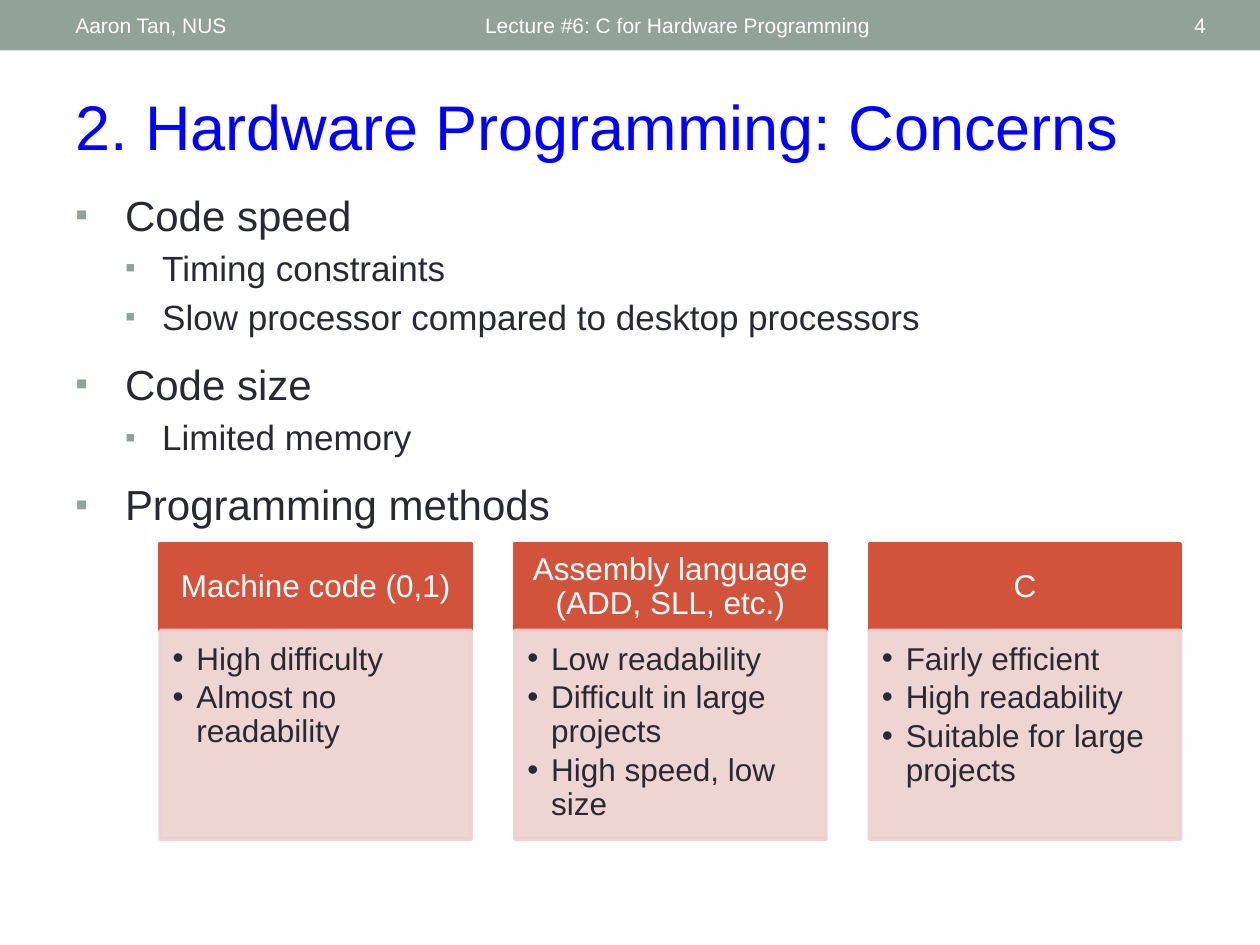
from dataclasses import dataclass

from lxml import etree
from pptx import Presentation
from pptx.dml.color import RGBColor
from pptx.enum.shapes import MSO_SHAPE
from pptx.enum.text import MSO_ANCHOR, MSO_AUTO_SIZE, PP_ALIGN
from pptx.oxml.ns import qn
from pptx.util import Cm, Pt

RECTANGLE = MSO_SHAPE.RECTANGLE
TOP, MIDDLE = MSO_ANCHOR.TOP, MSO_ANCHOR.MIDDLE
LEFT, CENTER, RIGHT = PP_ALIGN.LEFT, PP_ALIGN.CENTER, PP_ALIGN.RIGHT
NO_AUTOFIT = MSO_AUTO_SIZE.NONE
TITLE_AND_CONTENT = 1


@dataclass(frozen=True)
class Theme:
    font: str = "Arial"
    white: str = "FFFFFF"
    sage: str = "93A299"
    blue: str = "0000FF"
    ink: str = "292934"
    red: str = "D2533C"
    pink: str = "EED1CE"
    panel_opacity: int = 90
    header_size: int = 12
    title_size: int = 36
    topic_size: int = 24
    detail_size: int = 20
    card_size: int = 18


@dataclass(frozen=True)
class Box:
    left: float
    top: float
    width: float
    height: float

    def lengths(self):
        return [Cm(value) for value in (self.left, self.top, self.width, self.height)]


THEME = Theme()

HEADER_PARTS = [
    ("Aaron Tan, NUS", 1.27, 8.05, LEFT),
    ("Lecture #6: C for Hardware Programming", 9.53, 11.43, LEFT),
    ("4", 22.15, 2.41, RIGHT),
]
CONCERNS = [
    (0, "Code speed"),
    (1, "Timing constraints"),
    (1, "Slow processor compared to desktop processors"),
    (0, "Code size"),
    (1, "Limited memory"),
    (0, "Programming methods"),
]
METHODS = [
    ("Machine code (0,1)", ["High difficulty", "Almost no readability"]),
    ("Assembly language (ADD, SLL, etc.)",
     ["Low readability", "Difficult in large projects", "High speed, low size"]),
    ("C", ["Fairly efficient", "High readability", "Suitable for large projects"]),
]


def apply(target, values):
    for name, value in values.items():
        setattr(target, name, value)


def set_frame(frame, anchor, insets=(0.25, 0.13, 0.25, 0.13)):
    sides = ("margin_left", "margin_top", "margin_right", "margin_bottom")
    apply(frame, dict(zip(sides, map(Cm, insets))))
    apply(frame, {"word_wrap": True, "auto_size": NO_AUTOFIT, "vertical_anchor": anchor})


def write(paragraph, text, size, color, **values):
    apply(paragraph, values)
    run = paragraph.add_run()
    run.text = text
    apply(run.font, {"name": THEME.font, "size": Pt(size)})
    run.font.color.rgb = RGBColor.from_string(color)


def add_bullet(paragraph, character, color, percent, indent, hanging):
    properties = paragraph._p.get_or_add_pPr()
    properties.set("marL", str(Cm(indent)))
    properties.set("indent", str(-Cm(hanging)))
    bullet_color = etree.SubElement(properties, qn("a:buClr"))
    etree.SubElement(bullet_color, qn("a:srgbClr"), val=color)
    etree.SubElement(properties, qn("a:buSzPct"), val=str(percent * 1000))
    etree.SubElement(properties, qn("a:buFont"), typeface=THEME.font)
    etree.SubElement(properties, qn("a:buChar"), char=character)


def paragraphs_for(frame, items):
    for index, item in enumerate(items):
        yield index, frame.paragraphs[0] if index == 0 else frame.add_paragraph(), item


def add_rectangle(slide, box, color, line_width=None, opacity=100):
    shape = slide.shapes.add_shape(RECTANGLE, *box.lengths())
    shape.shadow.inherit = False
    fills = [shape.fill]
    if line_width is None:
        shape.line.fill.background()
    else:
        shape.line.width = Pt(line_width)
        fills.append(shape.line.fill)
    for fill in fills:
        fill.solid()
        fill.fore_color.rgb = RGBColor.from_string(color)
    if opacity < 100:
        for element in shape._element.spPr.iter(qn("a:srgbClr")):
            etree.SubElement(element, qn("a:alpha"), val=str(opacity * 1000))
    return shape


def add_header(slide, box):
    add_rectangle(slide, box, THEME.sage)
    for text, offset, width, alignment in HEADER_PARTS:
        part = Box(box.left + offset, box.top + 0.05, width, box.height - 0.1)
        frame = slide.shapes.add_textbox(*part.lengths()).text_frame
        set_frame(frame, MIDDLE)
        write(frame.paragraphs[0], text, THEME.header_size, THEME.white, alignment=alignment)


def place(placeholder, box):
    apply(placeholder, dict(zip(("left", "top", "width", "height"), box.lengths())))
    set_frame(placeholder.text_frame, TOP)
    return placeholder.text_frame


def fill_title(slide, box):
    frame = place(slide.shapes.title, box)
    write(frame.paragraphs[0], "2. Hardware Programming: Concerns",
          THEME.title_size, THEME.blue, alignment=LEFT)


def fill_concerns(slide, box):
    frame = place(slide.placeholders[1], box)
    sizes = (THEME.topic_size, THEME.detail_size)
    spaces = (12, 4)
    indents = ((1.0, 1.0), (1.75, 0.75))
    for index, paragraph, (level, text) in paragraphs_for(frame, CONCERNS):
        apply(paragraph, {"level": level, "space_before": Pt(spaces[level] if index else 0)})
        add_bullet(paragraph, "▪", THEME.sage, 85, *indents[level])
        write(paragraph, text, sizes[level], THEME.ink)


def add_method(slide, box, name, remarks):
    head_height = 1.75
    head = Box(box.left, box.top, box.width, head_height)
    panel = Box(box.left, box.top + head_height, box.width, box.height - head_height)

    frame = add_rectangle(slide, head, THEME.red, 2.08).text_frame
    set_frame(frame, MIDDLE, (0.36, 0.2, 0.36, 0.2))
    write(frame.paragraphs[0], name, THEME.card_size, THEME.white,
          alignment=CENTER, line_spacing=0.9)

    frame = add_rectangle(slide, panel, THEME.pink, 2.08, THEME.panel_opacity).text_frame
    set_frame(frame, TOP, (0.25, 0.25, 0.36, 0.41))
    for _, paragraph, remark in paragraphs_for(frame, remarks):
        apply(paragraph, {"alignment": LEFT, "line_spacing": 0.9, "space_after": Pt(2.7)})
        add_bullet(paragraph, "•", THEME.ink, 100, 0.48, 0.48)
        write(paragraph, remark, THEME.card_size, THEME.ink)


def add_methods(slide, box, gap=0.88):
    width = (box.width - gap * (len(METHODS) - 1)) / len(METHODS)
    for column, (name, remarks) in enumerate(METHODS):
        card = Box(box.left + column * (width + gap), box.top, width, box.height)
        add_method(slide, card, name, remarks)


def main():
    presentation = Presentation()
    apply(presentation, {"slide_width": Cm(25.4), "slide_height": Cm(19.05)})
    slide = presentation.slides.add_slide(presentation.slide_layouts[TITLE_AND_CONTENT])
    add_header(slide, Box(0, 0, 25.4, 1.02))
    fill_title(slide, Box(1.27, 1.63, 22.86, 1.8))
    fill_concerns(slide, Box(1.27, 3.68, 22.86, 14.45))
    add_methods(slide, Box(3.23, 10.96, 20.57, 5.96))
    presentation.save("out.pptx")


if __name__ == "__main__":
    main()
